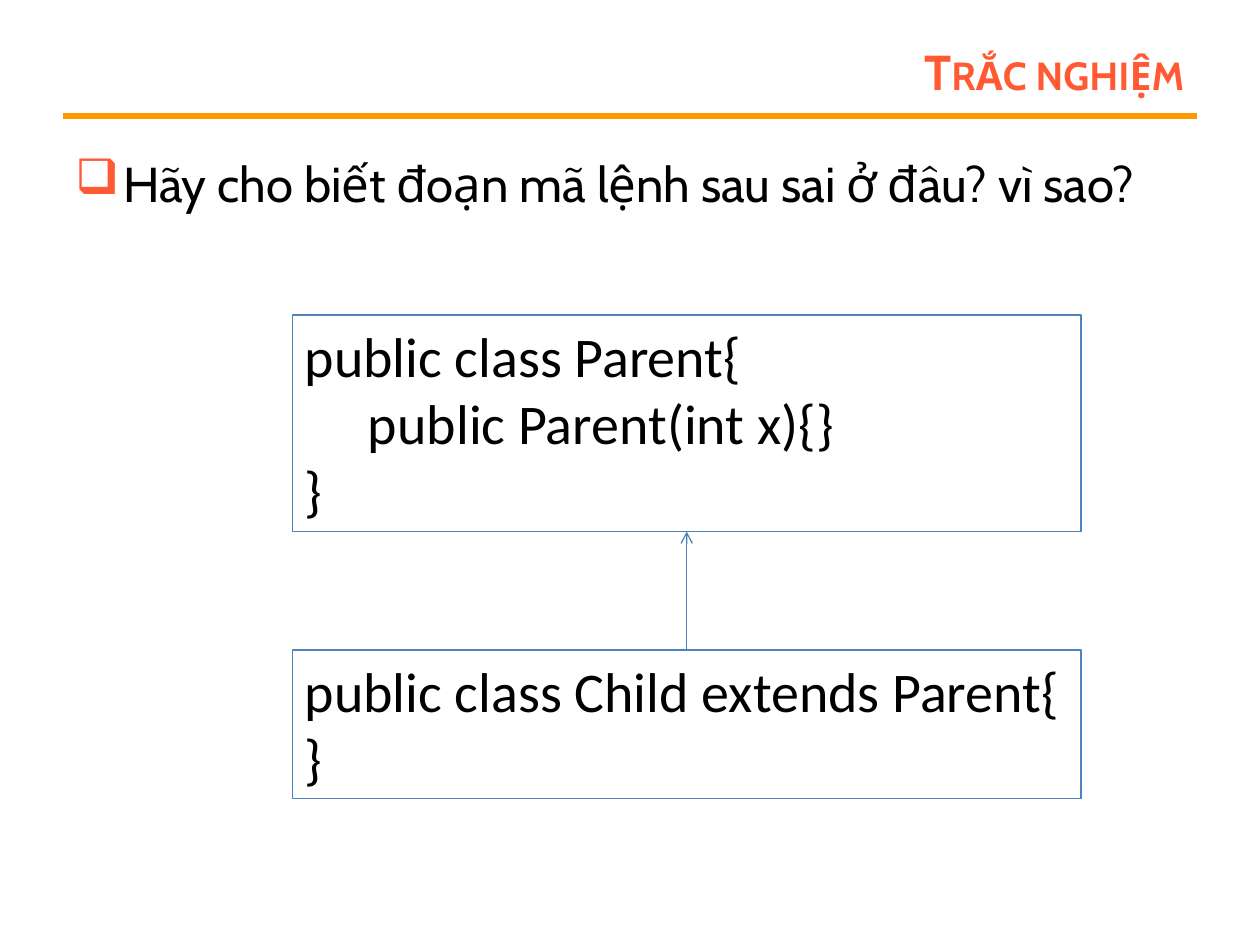
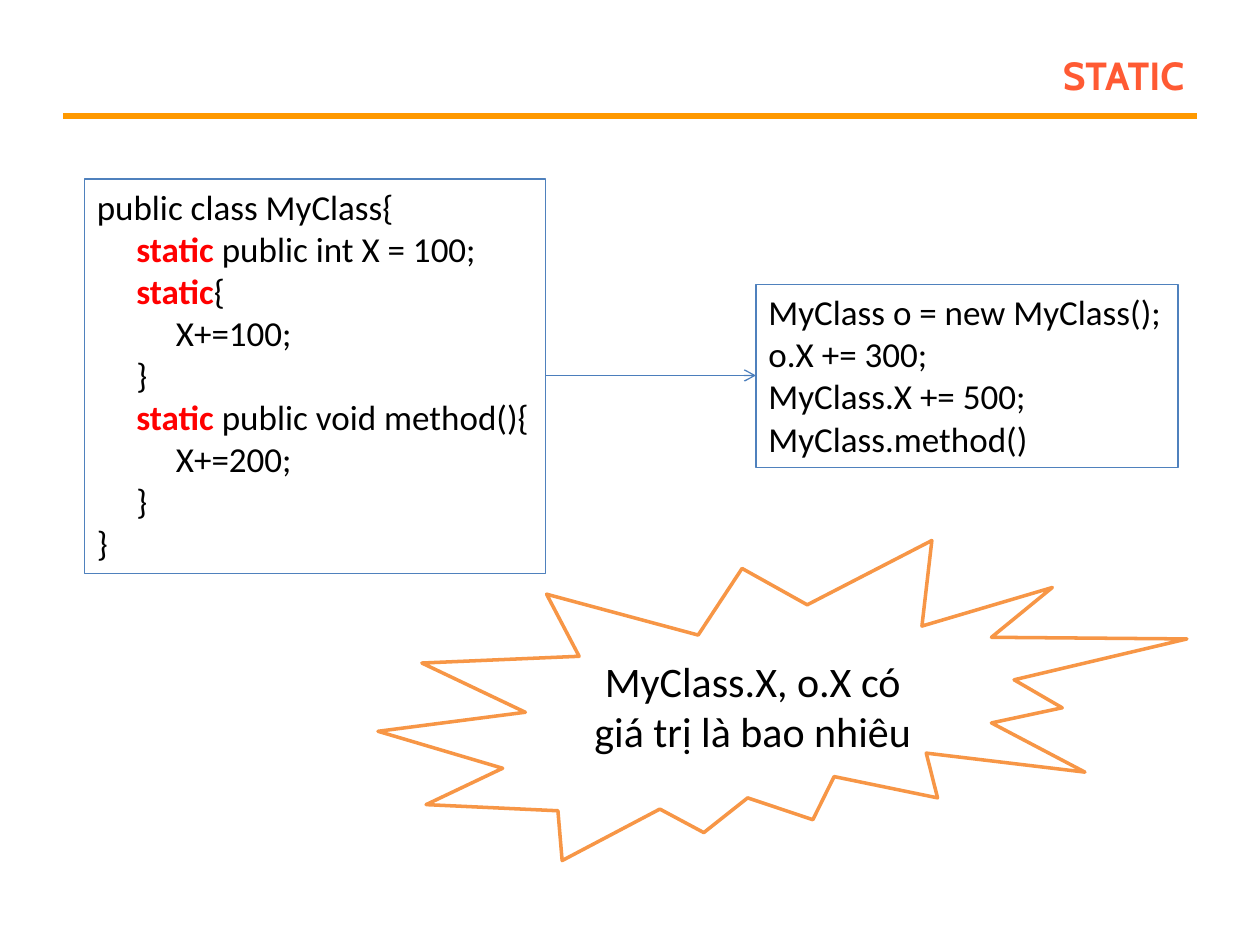
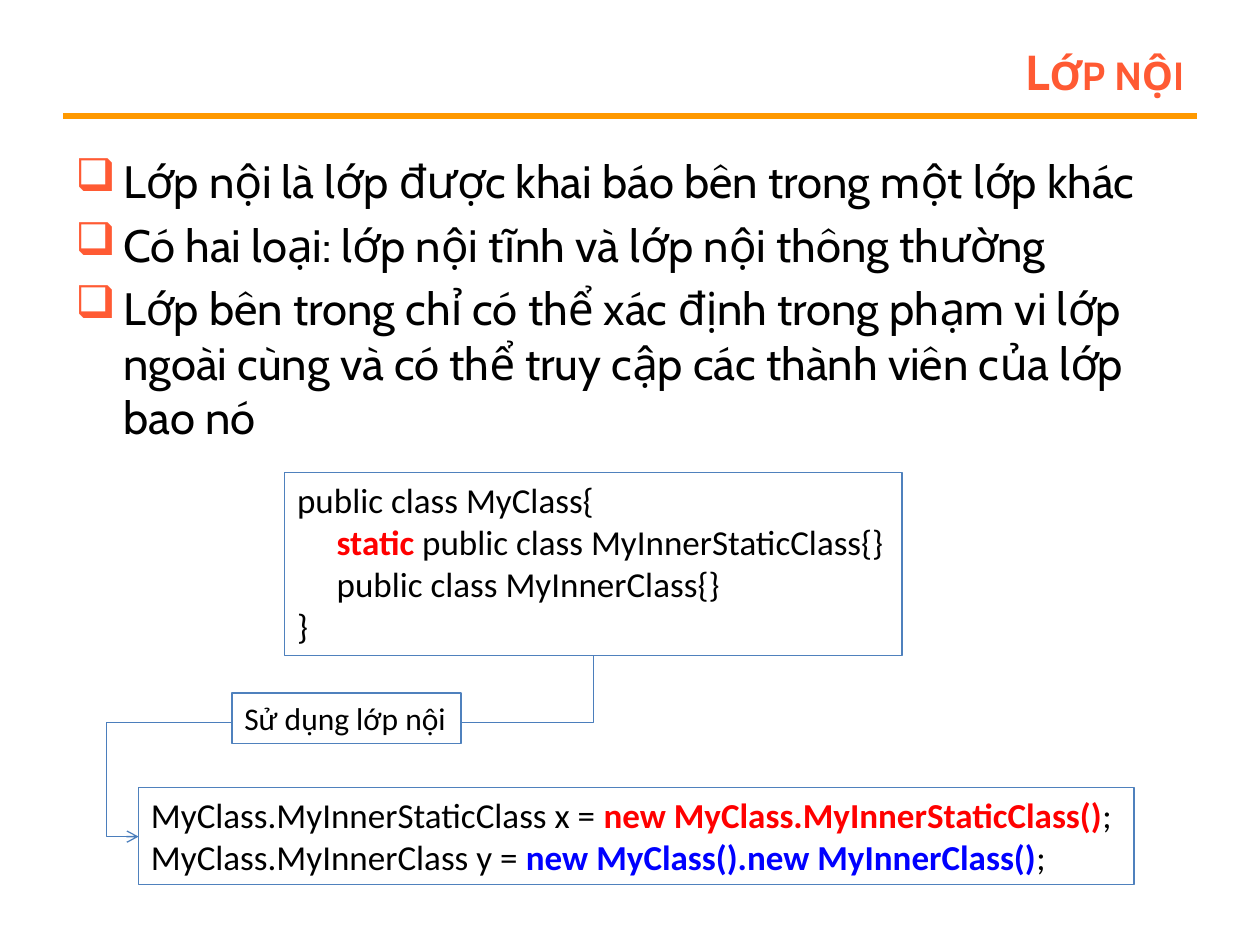
from lxml import etree
from pptx import Presentation
from pptx.dml.color import RGBColor
from pptx.enum.shapes import MSO_CONNECTOR, MSO_SHAPE
from pptx.enum.text import MSO_ANCHOR, MSO_AUTO_SIZE, PP_ALIGN
from pptx.oxml.ns import qn
from pptx.util import Inches, Pt

STRAIGHT, ELBOW = MSO_CONNECTOR.STRAIGHT, MSO_CONNECTOR.ELBOW
RECTANGLE, BURST = MSO_SHAPE.RECTANGLE, MSO_SHAPE.EXPLOSION2
TOP, MIDDLE = MSO_ANCHOR.TOP, MSO_ANCHOR.MIDDLE
LEFT, CENTER, RIGHT = PP_ALIGN.LEFT, PP_ALIGN.CENTER, PP_ALIGN.RIGHT
NO_FIT = MSO_AUTO_SIZE.NONE

WHITE = RGBColor(0xFF, 0xFF, 0xFF)
BLACK = RGBColor(0, 0, 0)
CORAL = RGBColor(0xFF, 0x5A, 0x33)
AMBER = RGBColor(0xFF, 0x99, 0x00)
ORANGE = RGBColor(0xF7, 0x96, 0x46)
FRAME_BLUE = RGBColor(0x4F, 0x81, 0xBD)
ARROW_BLUE = RGBColor(0x4B, 0x7E, 0xBC)
RED = RGBColor(0xFF, 0, 0)
BLUE = RGBColor(0, 0, 0xFF)

HEADING_FONT, CODE_FONT = "Cabin", "Calibri"
COLUMNS, ROWS = 100, 75
TITLE_ONLY = 5
CODE_INDENT = 1.13


class Deck:
    """Holds the shared style and the current slide; lengths are grid columns and rows."""

    def __init__(self):
        self.presentation = Presentation()
        self.presentation.slide_width = Inches(10)
        self.presentation.slide_height = Inches(7.5)
        self.slide = None

    def x(self, columns):
        return int(self.presentation.slide_width * columns / COLUMNS)

    def y(self, rows):
        return int(self.presentation.slide_height * rows / ROWS)

    def area(self, left, top, width, height):
        return self.x(left), self.y(top), self.x(width), self.y(height)

    def apply(self, target, values):
        for name, value in values.items():
            setattr(target, name, value)

    def frame(self, shape, anchor):
        self.apply(shape.text_frame, {
            "word_wrap": True, "auto_size": NO_FIT, "vertical_anchor": anchor})
        return shape.text_frame

    def paragraphs(self, frame, count):
        return [frame.paragraphs[0]] + [frame.add_paragraph() for _ in range(count - 1)]

    def run(self, paragraph, text, font, size, color=BLACK, bold=False):
        run = paragraph.add_run()
        run.text = text
        self.apply(run.font, {"name": font, "size": Pt(size), "bold": bold})
        run.font.color.rgb = color
        return run

    def new_slide(self, heading):
        layout = self.presentation.slide_layouts[TITLE_ONLY]
        self.slide = self.presentation.slides.add_slide(layout)
        self.line((5, 9.2), (95, 9.2), AMBER, 3)
        title = self.slide.shapes.title
        places = self.area(22.5, 3, 72.5, 5.3)
        self.apply(title, dict(zip(("left", "top", "width", "height"), places)))
        paragraph = self.frame(title, MIDDLE).paragraphs[0]
        paragraph.alignment = RIGHT
        run = self.run(paragraph, heading, HEADING_FONT, 28, CORAL, True)
        run.font._element.set("cap", "small")

    def bullets(self, height, size, *points):
        body = self.slide.shapes.add_textbox(*self.area(5, 11.7, 90, height))
        rows = self.paragraphs(self.frame(body, TOP), len(points))
        for paragraph, point in zip(rows, points):
            paragraph.space_before = Pt(size * 0.2)
            self.run(paragraph, point, HEADING_FONT, size)
            properties = paragraph._p.get_or_add_pPr()
            properties.set("marL", str(Inches(0.38)))
            properties.set("indent", str(Inches(-0.38)))
            color = etree.SubElement(properties, qn("a:buClr"))
            etree.SubElement(color, qn("a:srgbClr"), val=str(CORAL))
            etree.SubElement(properties, qn("a:buChar"), char="❑")

    def outlined(self, kind, place, color, width, fill):
        shape = self.slide.shapes.add_shape(kind, *self.area(*place))
        shape.shadow.inherit = False
        if fill is None:
            shape.fill.background()
        else:
            shape.fill.solid()
            shape.fill.fore_color.rgb = fill
        shape.line.color.rgb = color
        shape.line.width = Pt(width)
        return shape

    def code(self, place, size, lines, fill=None):
        box = self.outlined(RECTANGLE, place, FRAME_BLUE, 0.75, fill)
        rows = self.paragraphs(self.frame(box, TOP), len(lines))
        for paragraph, (level, *pieces) in zip(rows, lines):
            paragraph.alignment = LEFT
            margin = Pt(size * CODE_INDENT * level)
            paragraph._p.get_or_add_pPr().set("marL", str(margin))
            for piece in pieces:
                text, color = (piece, BLACK) if isinstance(piece, str) else piece
                self.run(paragraph, text, CODE_FONT, size, color, color != BLACK)

    def burst(self, place, question):
        shape = self.outlined(BURST, place, ORANGE, 2, WHITE)
        paragraph = self.frame(shape, MIDDLE).paragraphs[0]
        paragraph.alignment = CENTER
        self.run(paragraph, question, CODE_FONT, 24)

    def line(self, start, end, color=ARROW_BLUE, width=0.75, kind=STRAIGHT):
        points = [self.x(start[0]), self.y(start[1]), self.x(end[0]), self.y(end[1])]
        connector = self.slide.shapes.add_connector(kind, *points)
        connector.line.color.rgb = color
        connector.line.width = Pt(width)
        etree.SubElement(connector._element.spPr, qn("a:effectLst"))
        return connector

    def arrow(self, start, end, kind=STRAIGHT):
        connector = self.line(start, end, kind=kind)
        outline = connector._element.spPr.find(qn("a:ln"))
        etree.SubElement(outline, qn("a:tailEnd"), type="arrow")
        return connector

    def bent_arrow(self, start, end, *bends):
        middle_x, middle_y = [(a + b) / 2 for a, b in zip(start, end)]
        half_width, half_height = (end[1] - start[1]) / 2, (start[0] - end[0]) / 2
        connector = self.arrow((middle_x - half_width, middle_y - half_height),
                               (middle_x + half_width, middle_y + half_height), ELBOW)
        properties = connector._element.spPr
        properties.find(qn("a:xfrm")).set("rot", str(90 * 60000))
        geometry = properties.find(qn("a:prstGeom"))
        geometry.set("prst", "bentConnector4")
        adjustments = geometry.find(qn("a:avLst"))
        for number, share in enumerate(bends, 1):
            etree.SubElement(adjustments, qn("a:gd"), name=f"adj{number}",
                             fmla=f"val {round(share * 100000)}")


def quiz_slide(deck):
    deck.new_slide("Trắc nghiệm")
    deck.bullets(7.5, 28, "Hãy cho biết đoạn mã lệnh sau sai ở đâu? vì sao?")
    deck.code((23.2, 25, 62.6, 17.2), 32, [
        (0, "public class Parent{"),
        (1, "public Parent(int x){}"),
        (0, "}")])
    deck.code((23.2, 51.6, 62.6, 11.8), 32, [
        (0, "public class Child extends Parent{"),
        (0, "}")])
    deck.arrow((54.5, 51.6), (54.5, 42.2))


def static_slide(deck):
    static = ("static", RED)
    deck.new_slide("static")
    deck.code((6.7, 14.2, 36.6, 31.3), 20, [
        (0, "public class MyClass{"),
        (1, static, " public int X = 100;"),
        (1, static, "{"),
        (2, "X+=100;"),
        (1, "}"),
        (1, static, " public void method(){"),
        (2, "X+=200;"),
        (1, "}"),
        (0, "}")])
    deck.arrow((43.3, 29.8), (60, 29.8))
    deck.burst((30, 42.9, 64.2, 25.4), "MyClass.X, o.X có giá trị là bao nhiêu")
    deck.code((60, 22.6, 33.5, 14.5), 20, [
        (0, "MyClass o = new MyClass();"),
        (0, "o.X += 300;"),
        (0, "MyClass.X += 500;"),
        (0, "MyClass.method()")], WHITE)


def inner_class_slide(deck):
    deck.new_slide("Lớp nội")
    deck.bullets(
        26.7, 25.9,
        "Lớp nội là lớp được khai báo bên trong một lớp khác",
        "Có hai loại: lớp nội tĩnh và lớp nội thông thường",
        "Lớp bên trong chỉ có thể xác định trong phạm vi lớp ngoài cùng "
        "và có thể truy cập các thành viên của lớp bao nó")
    deck.code((22.6, 37.5, 49, 14.5), 20, [
        (0, "public class MyClass{"),
        (1, ("static", RED), " public class MyInnerStaticClass{}"),
        (1, "public class MyInnerClass{}"),
        (0, "}")])
    deck.code((11, 62.5, 79, 7.7), 20, [
        (0, "MyClass.MyInnerStaticClass x = ",
         ("new MyClass.MyInnerStaticClass()", RED), ";"),
        (0, "MyClass.MyInnerClass y = ",
         ("new MyClass().new MyInnerClass()", BLUE), ";")], WHITE)
    deck.bent_arrow((47.1, 52), (11, 66.4), 0.37, 1.07)
    deck.code((18.4, 55, 18.2, 4), 18, [(0, "Sử dụng lớp nội")], WHITE)


def main():
    deck = Deck()
    for build in (quiz_slide, static_slide, inner_class_slide):
        build(deck)
    deck.presentation.save("out.pptx")


if __name__ == "__main__":
    main()
